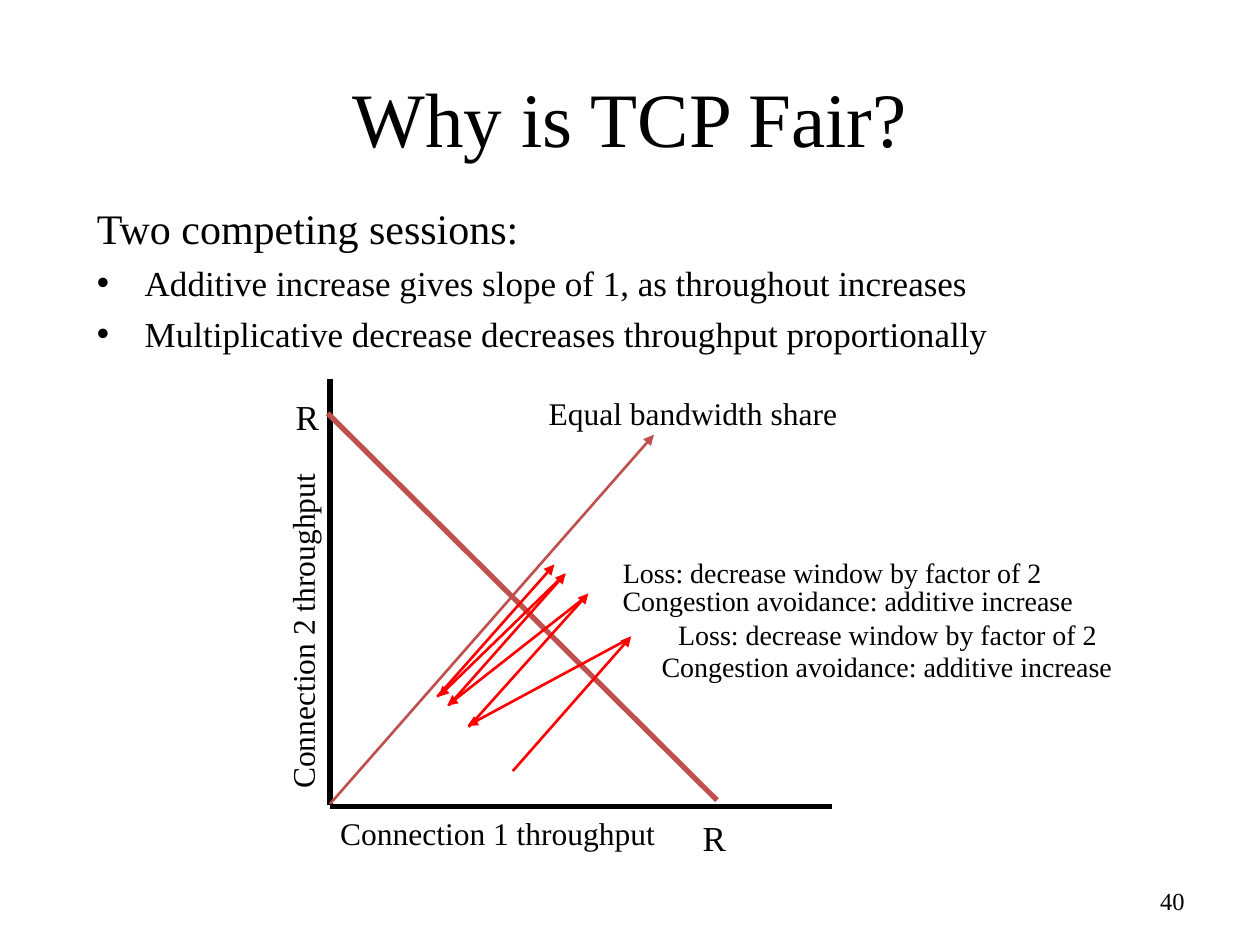
import dataclasses

import lxml.etree
import pptx
import pptx.dml.color
import pptx.enum.shapes
import pptx.enum.text
import pptx.oxml.ns
import pptx.util

Inches = pptx.util.Inches
Pt = pptx.util.Pt
Align = pptx.enum.text.PP_ALIGN
Anchor = pptx.enum.text.MSO_ANCHOR
qn = pptx.oxml.ns.qn

FONT = "Times New Roman"
BLACK, BRICK, RED = "000000", "C0504D", "FF0000"
INDENT = 0.38


@dataclasses.dataclass
class Label:
    text: str
    box: tuple[float, float, float, float]
    size: float
    turn: float = 0
    wrap: bool = True


@dataclasses.dataclass
class Line:
    start: tuple[float, float]
    end: tuple[float, float]
    color: str = RED
    width: float = 1.5
    arrow: bool = True


LOSS = "Loss: decrease window by factor of 2"
GROW = "Congestion avoidance: additive increase"

LABELS = [
    Label("R", (2.22, 3.09, 0.44, 0.43), 20),
    Label("R", (5.45, 6.43, 0.44, 0.43), 20),
    Label("Equal bandwidth share", (3.56, 3.08, 3.88, 0.4), 18),
    Label("Connection 1 throughput", (2.01, 6.41, 3.88, 0.4), 18),
    Label("Connection 2 throughput", (0.46, 4.81, 3.88, 0.4), 18, turn=270),
    Label(GROW, (4.56, 5.11, 4.96, 0.37), 16),
    Label(LOSS, (5.26, 4.85, 3.57, 0.37), 16, wrap=False),
    Label(GROW, (4.25, 4.58, 4.96, 0.37), 16),
    Label(LOSS, (4.82, 4.36, 3.57, 0.37), 16, wrap=False),
]

LINES = [
    # Axes, equal share and full capacity
    Line((2.62, 6.4), (6.6, 6.4), BLACK, 3, False),
    Line((2.62, 6.39), (2.62, 3.01), BLACK, 3, False),
    Line((2.62, 6.38), (5.19, 3.45), BRICK),
    Line((2.6, 3.28), (5.69, 6.35), BRICK, 3, False),
    # Alternating increase and loss
    Line((4.07, 6.12), (5.01, 5.05)),
    Line((4.99, 5.07), (3.71, 5.76)),
    Line((3.72, 5.77), (4.67, 4.71)),
    Line((4.62, 4.76), (3.55, 5.6)),
    Line((3.56, 5.6), (4.49, 4.55)),
    Line((4.48, 4.56), (3.48, 5.53)),
    Line((3.47, 5.53), (4.4, 4.48)),
]


def paint(color: str) -> pptx.dml.color.RGBColor:
    return pptx.dml.color.RGBColor.from_string(color)


def write(para, text: str, *, size: float, color: str = BLACK,
          align=Align.LEFT, before: float = 0, bullet: bool = False) -> None:
    if bullet:
        props = para._p.get_or_add_pPr()
        props.set("marL", str(Inches(INDENT)))
        props.set("indent", str(-Inches(INDENT)))
        lxml.etree.SubElement(props, qn("a:buFont"), typeface="Arial")
        lxml.etree.SubElement(props, qn("a:buChar"), char="•")
    para.text = text
    para.alignment = align
    para.space_before = Pt(before)
    para.font.name = FONT
    para.font.size = Pt(size)
    para.font.color.rgb = paint(color)


def add_box(slide, box: tuple, wrap: bool = True):
    shape = slide.shapes.add_textbox(*map(Inches, box))
    shape.text_frame.word_wrap = wrap
    return shape


def add_title(slide, text: str) -> None:
    title = slide.shapes.title
    title.left, title.top, title.width, title.height = map(
        Inches, (0.5, 0.3, 9, 1.25))
    title.text_frame.vertical_anchor = Anchor.MIDDLE
    write(title.text_frame.paragraphs[0], text, size=44, align=Align.CENTER)


def add_body(slide, lead: str, points: list[str]) -> None:
    frame = add_box(slide, (0.67, 1.56, 9.08, 1.4)).text_frame
    write(frame.paragraphs[0], lead, size=24)
    for point in points:
        write(frame.add_paragraph(), point, size=20, before=5, bullet=True)


def add_label(slide, label: Label) -> None:
    shape = add_box(slide, label.box, label.wrap)
    shape.rotation = label.turn
    write(shape.text_frame.paragraphs[0], label.text, size=label.size,
          align=Align.CENTER)


def add_line(slide, line: Line) -> None:
    wire = slide.shapes.add_connector(
        pptx.enum.shapes.MSO_CONNECTOR.STRAIGHT,
        *map(Inches, line.start + line.end))
    wire.line.color.rgb = paint(line.color)
    wire.line.width = Pt(line.width)
    if line.arrow:
        lxml.etree.SubElement(wire.line._get_or_add_ln(), qn("a:tailEnd"),
                              type="triangle")
    lxml.etree.SubElement(wire._element.spPr, qn("a:effectLst"))


def add_number(slide, text: str) -> None:
    frame = add_box(slide, (7.17, 6.95, 2.33, 0.4)).text_frame
    frame.vertical_anchor = Anchor.MIDDLE
    write(frame.paragraphs[0], text, size=14, align=Align.RIGHT)


def main() -> None:
    deck = pptx.Presentation()
    deck.slide_width, deck.slide_height = Inches(10), Inches(7.5)
    slide = deck.slides.add_slide(deck.slide_layouts.get_by_name("Title Only"))
    add_title(slide, "Why is TCP Fair?")
    add_body(slide, "Two competing sessions:", [
        "Additive increase gives slope of 1, as throughout increases",
        "Multiplicative decrease decreases throughput proportionally",
    ])
    for line in LINES:
        add_line(slide, line)
    for label in LABELS:
        add_label(slide, label)
    add_number(slide, "40")
    deck.save("out.pptx")


if __name__ == "__main__":
    main()
